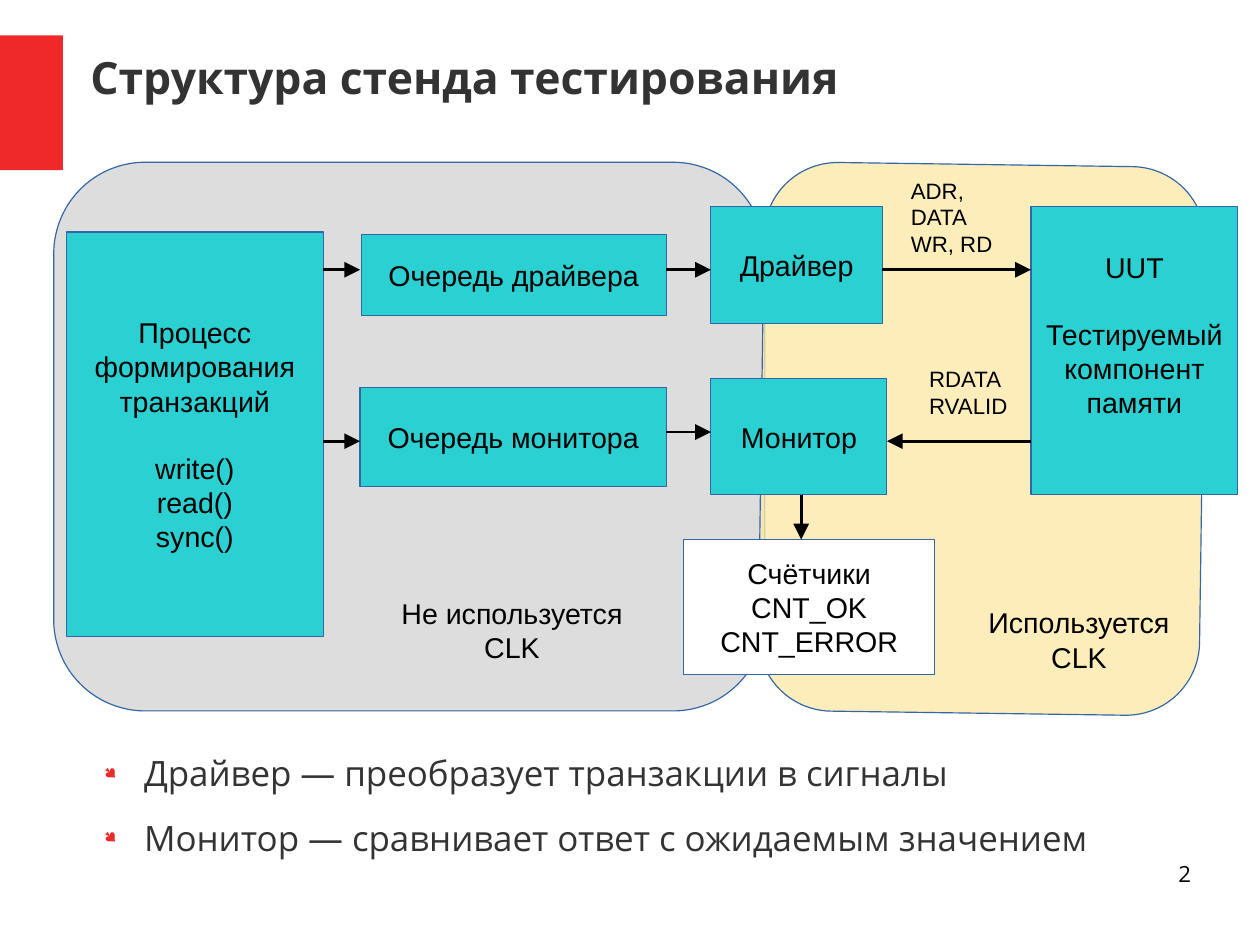
from lxml import etree
from pptx import Presentation
from pptx.dml.color import RGBColor
from pptx.enum.shapes import MSO_CONNECTOR, MSO_SHAPE
from pptx.enum.text import MSO_ANCHOR, PP_ALIGN
from pptx.oxml.ns import qn
from pptx.util import Inches, Pt

RECTANGLE, ROUNDED = MSO_SHAPE.RECTANGLE, MSO_SHAPE.ROUNDED_RECTANGLE
STRAIGHT = MSO_CONNECTOR.STRAIGHT
LEFT, CENTER, RIGHT = PP_ALIGN.LEFT, PP_ALIGN.CENTER, PP_ALIGN.RIGHT
TOP, MIDDLE = MSO_ANCHOR.TOP, MSO_ANCHOR.MIDDLE

RED = RGBColor(0xEF, 0x29, 0x29)
GRAY = RGBColor(0xDD, 0xDD, 0xDD)
CREAM = RGBColor(0xFD, 0xE9, 0xA9)
CYAN = RGBColor(0x2B, 0xD0, 0xD2)
BLUE = RGBColor(0x34, 0x65, 0xA4)
DARK = RGBColor(0x33, 0x33, 0x33)
BLACK = RGBColor(0, 0, 0)
WHITE = RGBColor(0xFF, 0xFF, 0xFF)

BLOCK_FONT = {"name": "Arial", "size": Pt(18)}
SIGNAL_FONT = {"name": "Arial", "size": Pt(14)}
TITLE_FONT = {"name": "Open Sans", "size": Pt(28), "bold": True}
BULLET_FONT = {"name": "Open Sans", "size": Pt(22)}
NUMBER_FONT = {"name": "Open Sans", "size": Pt(14)}
BLOCK_LINE = 20.7  # height of one line of block text, in points
CM_PER_INCH = 2.54


def set_attributes(target, values):
    for name, value in values.items():
        setattr(target, name, value)


def write(shape, lines, font, color=BLACK, align=CENTER, anchor=MIDDLE,
          wrap=False, margins=(0.1, 0.05)):
    """Write one paragraph per line and return the paragraphs."""
    frame = shape.text_frame
    side, edge = (Inches(margin) for margin in margins)
    set_attributes(frame, {
        "word_wrap": wrap, "vertical_anchor": anchor,
        "margin_left": side, "margin_right": side,
        "margin_top": edge, "margin_bottom": edge})
    frame.text = "\n".join(lines)
    for paragraph in frame.paragraphs:
        paragraph.alignment = align
        set_attributes(paragraph.runs[0].font, font)
        paragraph.runs[0].font.color.rgb = color
    return frame.paragraphs


def add_area(slide, kind, box, color, outlined=True):
    area = slide.shapes.add_shape(kind, *map(Inches, box))
    area.shadow.inherit = False
    area.fill.solid()
    area.fill.fore_color.rgb = color
    if outlined:
        area.line.color.rgb = BLUE
        area.line.width = Pt(0)
    else:
        area.line.fill.background()
    return area


def add_domain(slide, box, color, rotation=0.0):
    domain = add_area(slide, ROUNDED, box, color)
    domain.adjustments[0] = 1 / 6
    domain.rotation = rotation
    return domain


def add_block(slide, box, lines, color=CYAN, gap_before=None):
    """Add a box; gap_before is the index of the line that follows a gap."""
    block = add_area(slide, RECTANGLE, box, color)
    paragraphs = write(block, lines, BLOCK_FONT)
    if gap_before is not None:
        paragraphs[gap_before].space_before = Pt(BLOCK_LINE)
    return block


def add_label(slide, box, lines, font, **options):
    label = slide.shapes.add_textbox(*map(Inches, box))
    return write(label, lines, font, **options)


def add_arrow(slide, start, end):
    arrow = slide.shapes.add_connector(STRAIGHT, *map(Inches, start + end))
    arrow.line.color.rgb = BLACK
    arrow.line.width = Pt(1.75)
    etree.SubElement(arrow.line._get_or_add_ln(), qn("a:tailEnd"),
                     type="triangle", w="lg", len="lg")
    etree.SubElement(arrow._element.spPr, qn("a:effectLst"))


def add_bullets(slide, box, lines):
    paragraphs = add_label(slide, box, lines, BULLET_FONT, color=DARK,
                           align=LEFT, anchor=TOP, wrap=True, margins=(0, 0))
    for paragraph in paragraphs:
        paragraph.space_after = Pt(14.1)
        properties = paragraph._p.get_or_add_pPr()
        properties.set("marL", str(Inches(0.47)))
        properties.set("indent", str(Inches(-0.35)))
        bullet_color = etree.SubElement(properties, qn("a:buClr"))
        etree.SubElement(bullet_color, qn("a:srgbClr"), val=str(RED))
        etree.SubElement(properties, qn("a:buSzPct"), val="45000")
        etree.SubElement(properties, qn("a:buFont"), typeface="Wingdings",
                         charset="2")
        etree.SubElement(properties, qn("a:buChar"), char="●")


def set_title(slide, box, text):
    title = slide.shapes.title
    set_attributes(title, dict(zip(("left", "top", "width", "height"),
                                   map(Inches, box))))
    write(title, [text], TITLE_FONT, color=DARK, align=LEFT, wrap=True,
          margins=(0, 0))


def main():
    # A page of 28 by 21 cm
    presentation = Presentation()
    presentation.slide_width = Inches(28 / CM_PER_INCH)
    presentation.slide_height = Inches(21 / CM_PER_INCH)
    slide = presentation.slides.add_slide(presentation.slide_layouts[5])

    # Title, accent and page number
    add_area(slide, RECTANGLE, (0, 0.31, 0.55, 1.18), RED, outlined=False)
    set_title(slide, (0.79, 0.33, 9.68, 0.69), "Структура стенда тестирования")
    add_label(slide, (7.9, 7.53, 2.52, 0.57), ["2"], NUMBER_FONT,
              align=RIGHT, anchor=TOP, wrap=True, margins=(0, 0))

    # Domains without and with a clock
    add_domain(slide, (0.47, 1.42, 6.22, 4.8), GRAY)
    clocked = add_domain(slide, (6.66, 1.44, 3.86, 4.8), CREAM, rotation=0.8)
    cream = clocked.fill._xPr.find(qn("a:solidFill"))[0]
    etree.SubElement(cream, qn("a:alpha"), val="80000")

    # Blocks of the test bench
    add_block(slide, (0.58, 2.03, 2.25, 3.54),
              ["Процесс", "формирования", "транзакций",
               "write()", "read()", "sync()"], gap_before=3)
    add_block(slide, (3.16, 2.05, 2.67, 0.71), ["Очередь драйвера"])
    add_block(slide, (3.15, 3.39, 2.68, 0.87), ["Очередь монитора"])
    add_block(slide, (6.22, 1.81, 1.5, 1.02), ["Драйвер"])
    add_block(slide, (6.22, 3.31, 1.54, 1.02), ["Монитор"])
    uut = add_block(slide, (9.02, 1.81, 1.81, 2.52),
                    ["UUT", "Тестируемый", "компонент", "памяти"],
                    gap_before=1)
    uut.text_frame.margin_bottom = Inches(0.05) + Pt(BLOCK_LINE)
    add_block(slide, (5.98, 4.72, 2.2, 1.18),
              ["Счётчики", "CNT_OK", "CNT_ERROR"], color=WHITE)

    # Data flow: driver row, monitor row, counters
    driver_y, monitor_y, queue_y = 2.36, 3.86, 3.78
    for start_x, end_x, y in ((2.83, 3.15, driver_y), (5.83, 6.22, driver_y),
                              (7.72, 9.02, driver_y), (2.83, 3.15, monitor_y),
                              (5.83, 6.22, queue_y), (9.02, 7.76, monitor_y)):
        add_arrow(slide, (start_x, y), (end_x, y))
    add_arrow(slide, (7.01, 4.33), (7.01, 4.72))

    # Signal and domain labels
    for box, signals in (((7.87, 1.5, 1.02, 0.74), ["ADR,", "DATA", "WR, RD"]),
                         ((8.03, 3.15, 1.02, 0.53), ["RDATA", "RVALID"])):
        add_label(slide, box, signals, SIGNAL_FONT, align=LEFT, anchor=TOP)
    for left, top, usage in ((3.33, 5.12, "Не используется"),
                             (8.29, 5.2, "Используется")):
        add_label(slide, (left, top, 2.3, 0.79), [usage, "CLK"], BLOCK_FONT)

    # Explanations
    add_bullets(slide, (0.79, 6.58, 9.45, 1.4),
                ["Драйвер — преобразует транзакции в сигналы",
                 "Монитор — сравнивает ответ с ожидаемым значением"])

    presentation.save("out.pptx")


main()
